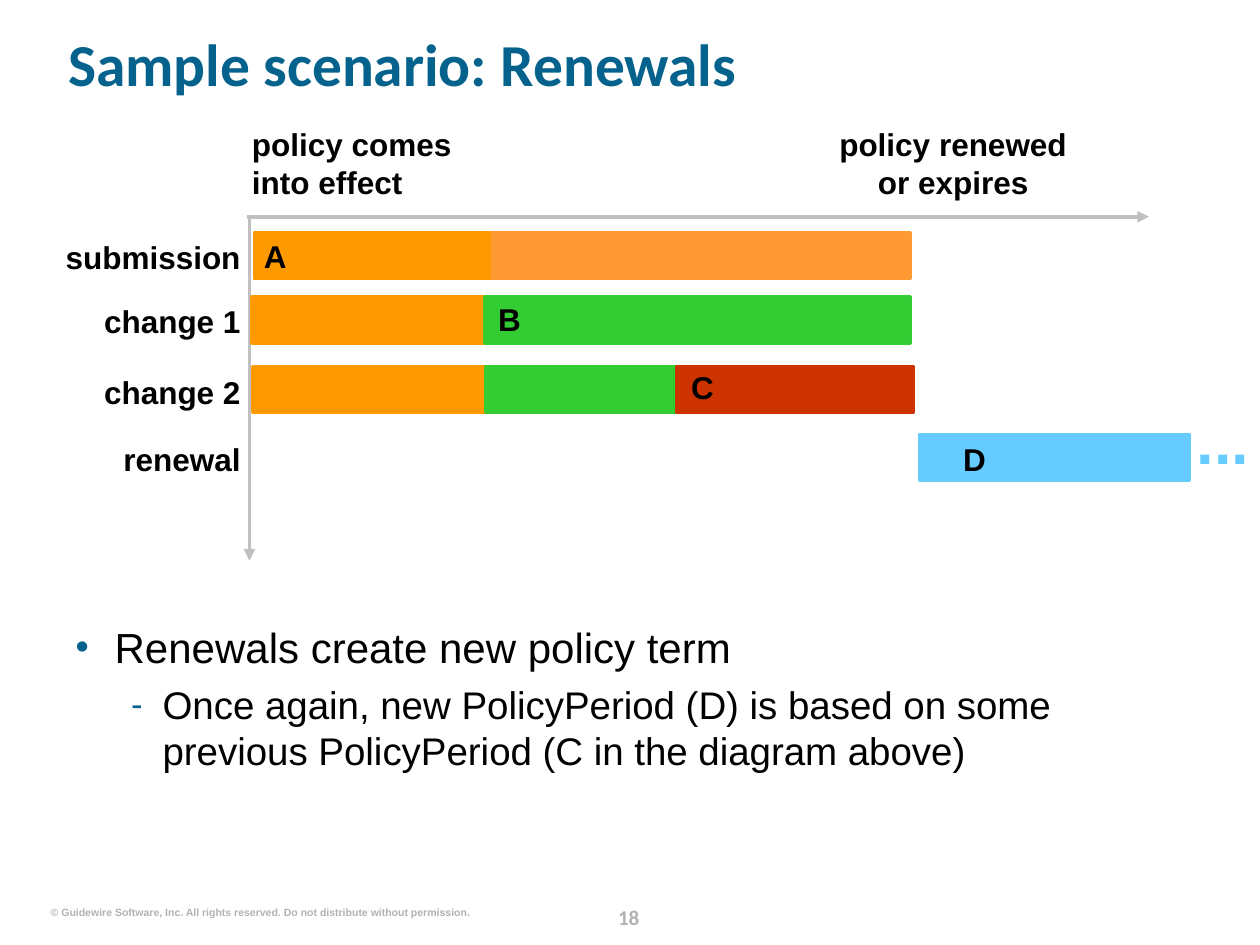
"""Build the renewals slide: a policy timeline above a short bulleted explanation."""
from dataclasses import dataclass

from lxml import etree
from pptx import Presentation, util as u
from pptx.dml.color import RGBColor
from pptx.enum import shapes, text
from pptx.oxml import ns

COLORS = {
    "heading": "04628C", "ink": "000000", "footer": "B2B2B2", "axis": "C0C0C0",
    "base": "FF9900", "remainder": "FF9933", "first change": "33CC33",
    "second change": "CC3300", "renewal": "66CCFF",
}
GRID_COLUMNS, GRID_ROWS = 100, 75
SLIDE_WIDTH, SLIDE_HEIGHT = u.Inches(10), u.Inches(7.5)
LEFT, CENTER, RIGHT = text.PP_ALIGN.LEFT, text.PP_ALIGN.CENTER, text.PP_ALIGN.RIGHT
BAR_ROWS, LABEL_ROWS = 3.6, 3


@dataclass(frozen=True)
class Area:
    column: float
    row: float
    columns: float
    rows: float


@dataclass(frozen=True)
class Label:
    words: str
    area: Area
    align: text.PP_ALIGN = LEFT
    size: float = 18
    color: str = "ink"
    font: str = "Arial"
    wrap: bool = True


@dataclass(frozen=True)
class Bar:
    column: float
    row: float
    columns: float
    color: str


@dataclass(frozen=True)
class Bullet:
    words: str
    level: int
    symbol: str
    size: float
    margin: float
    hanging: float
    before: float


def across(columns: float) -> int:
    """Turn grid columns into a length."""
    return round(SLIDE_WIDTH * columns / GRID_COLUMNS)


def down(rows: float) -> int:
    """Turn grid rows into a length."""
    return round(SLIDE_HEIGHT * rows / GRID_ROWS)


def place(area: Area) -> tuple[int, int, int, int]:
    """Give left, top, width and height of a grid area."""
    return across(area.column), down(area.row), across(area.columns), down(area.rows)


def rgb(name: str) -> RGBColor:
    """Look up a named colour."""
    return RGBColor.from_string(COLORS[name])


def clear_frame(frame, wrap: bool = True) -> None:
    """Remove the insets and fix the size of a text frame."""
    frame.margin_left = frame.margin_right = frame.margin_top = frame.margin_bottom = 0
    frame.auto_size = text.MSO_AUTO_SIZE.NONE
    frame.word_wrap = wrap


def add_run(paragraph, words: str, size: float, color: str, font: str, bold: bool) -> None:
    """Append one formatted run."""
    run = paragraph.add_run()
    run.text = words
    run.font.size, run.font.name, run.font.bold = u.Pt(size), font, bold
    run.font.color.rgb = rgb(color)


def draw_label(slide, label: Label):
    """Draw a bold label and return its paragraph."""
    frame = slide.shapes.add_textbox(*place(label.area)).text_frame
    clear_frame(frame, label.wrap)
    paragraph = frame.paragraphs[0]
    paragraph.alignment = label.align
    for index, line in enumerate(label.words.split("\n")):
        if index:
            paragraph.add_line_break()
        add_run(paragraph, line, label.size, label.color, label.font, True)
    return paragraph


def draw_bar(slide, bar: Bar) -> None:
    """Draw one period of the timeline."""
    area = Area(bar.column, bar.row, bar.columns, BAR_ROWS)
    shape = slide.shapes.add_shape(shapes.MSO_SHAPE.RECTANGLE, *place(area))
    shape.shadow.inherit = False
    shape.fill.solid()
    shape.fill.fore_color.rgb = shape.line.color.rgb = rgb(bar.color)
    shape.line.width = u.Pt(2.25)


def draw_axis(slide, start: tuple[float, float], end: tuple[float, float]) -> None:
    """Draw an arrow between two grid points."""
    connector = slide.shapes.add_connector(
        shapes.MSO_CONNECTOR.STRAIGHT,
        across(start[0]), down(start[1]), across(end[0]), down(end[1]))
    connector.line.color.rgb = rgb("axis")
    connector.line.width = u.Pt(2.25)
    etree.SubElement(connector.line._get_or_add_ln(), ns.qn("a:tailEnd"), type="triangle")
    etree.SubElement(connector._element.spPr, ns.qn("a:effectLst"))


def write_title(slide, words: str) -> None:
    """Fill and format the title placeholder."""
    title = slide.shapes.title
    title.left, title.top, title.width, title.height = place(Area(5.4, 1.3, 91, 8.1))
    clear_frame(title.text_frame)
    title.text_frame.vertical_anchor = text.MSO_ANCHOR.MIDDLE
    paragraph = title.text_frame.paragraphs[0]
    paragraph.alignment, paragraph.line_spacing = LEFT, 0.9
    add_run(paragraph, words, 34, "heading", "Calibri", True)


def write_bullets(slide, bullets: list[Bullet]) -> None:
    """Fill and format the body placeholder."""
    body = slide.placeholders[1]
    body.left, body.top, body.width, body.height = place(Area(6, 49.3, 88.4, 13.5))
    frame = body.text_frame
    clear_frame(frame)
    for index, bullet in enumerate(bullets):
        paragraph = frame.add_paragraph() if index else frame.paragraphs[0]
        paragraph.level = bullet.level
        properties = paragraph._p.get_or_add_pPr()
        properties.set("marL", str(across(bullet.margin)))
        properties.set("indent", str(-across(bullet.hanging)))
        color = etree.SubElement(properties, ns.qn("a:buClr"))
        etree.SubElement(color, ns.qn("a:srgbClr"), val=COLORS["heading"])
        etree.SubElement(properties, ns.qn("a:buSzPct"), val="90000")
        etree.SubElement(properties, ns.qn("a:buFont"), typeface="Arial")
        etree.SubElement(properties, ns.qn("a:buChar"), char=bullet.symbol)
        paragraph.space_before = u.Pt(bullet.before)
        add_run(paragraph, bullet.words, bullet.size, "ink", "Arial", False)


def main() -> None:
    """Build and save the slide."""
    presentation = Presentation()
    presentation.slide_width, presentation.slide_height = SLIDE_WIDTH, SLIDE_HEIGHT
    slide = presentation.slides.add_slide(presentation.slide_layouts[1])

    write_title(slide, "Sample scenario: Renewals")
    write_bullets(slide, [
        Bullet("Renewals create new policy term", 0, "•", 24, 3.1, 3.1, 0),
        Bullet("Once again, new PolicyPeriod (D) is based on some previous "
               "PolicyPeriod (C in the diagram above)", 1, "-", 22, 6.9, 2.5, 5.5),
    ])

    draw_axis(slide, (19.6, 17.2), (91.2, 17.2))
    draw_axis(slide, (19.8, 17.2), (19.8, 44.5))
    for bar in (
        Bar(38.5, 18.5, 33.7, "remainder"), Bar(20.2, 18.5, 18.6, "base"),
        Bar(20, 23.6, 19, "base"), Bar(38.5, 23.6, 33.7, "first change"),
        Bar(20.1, 29.1, 19, "base"), Bar(38.6, 29.1, 33.7, "first change"),
        Bar(53.7, 29.1, 18.8, "second change"), Bar(73, 34.5, 21.4, "renewal"),
    ):
        draw_bar(slide, bar)

    for words, row in (("submission", 18.9), ("change 1", 24),
                       ("change 2", 29.6), ("renewal", 34.9)):
        draw_label(slide, Label(words, Area(4, row, 15.1, LABEL_ROWS), RIGHT))
    for words, column, row in (("A", 20.2, 18.8), ("B", 38.8, 23.8),
                               ("C", 54.1, 29.2), ("D", 75.7, 34.9)):
        draw_label(slide, Label(words, Area(column, row, 3.3, LABEL_ROWS), CENTER))
    for words, column, align in (("policy comes\ninto effect", 20, LEFT),
                                 ("policy renewed\nor expires", 65, CENTER)):
        draw_label(slide, Label(words, Area(column, 9.9, 21.3, 2 * LABEL_ROWS), align))
    draw_label(slide, Label("...", Area(95, 31.9, 5, 6), size=36, color="renewal"))

    draw_label(slide, Label(
        "© Guidewire Software, Inc. All rights reserved. "
        "Do not distribute without permission.",
        Area(4, 71.9, 33.3, 1), RIGHT, 6, "footer", wrap=False))
    number = draw_label(slide, Label(
        "18", Area(47.3, 71.3, 5.2, 2.5), CENTER, 12, "footer", "Calibri"))
    number.line_spacing = u.Pt(18)

    presentation.save("out.pptx")


if __name__ == "__main__":
    main()
